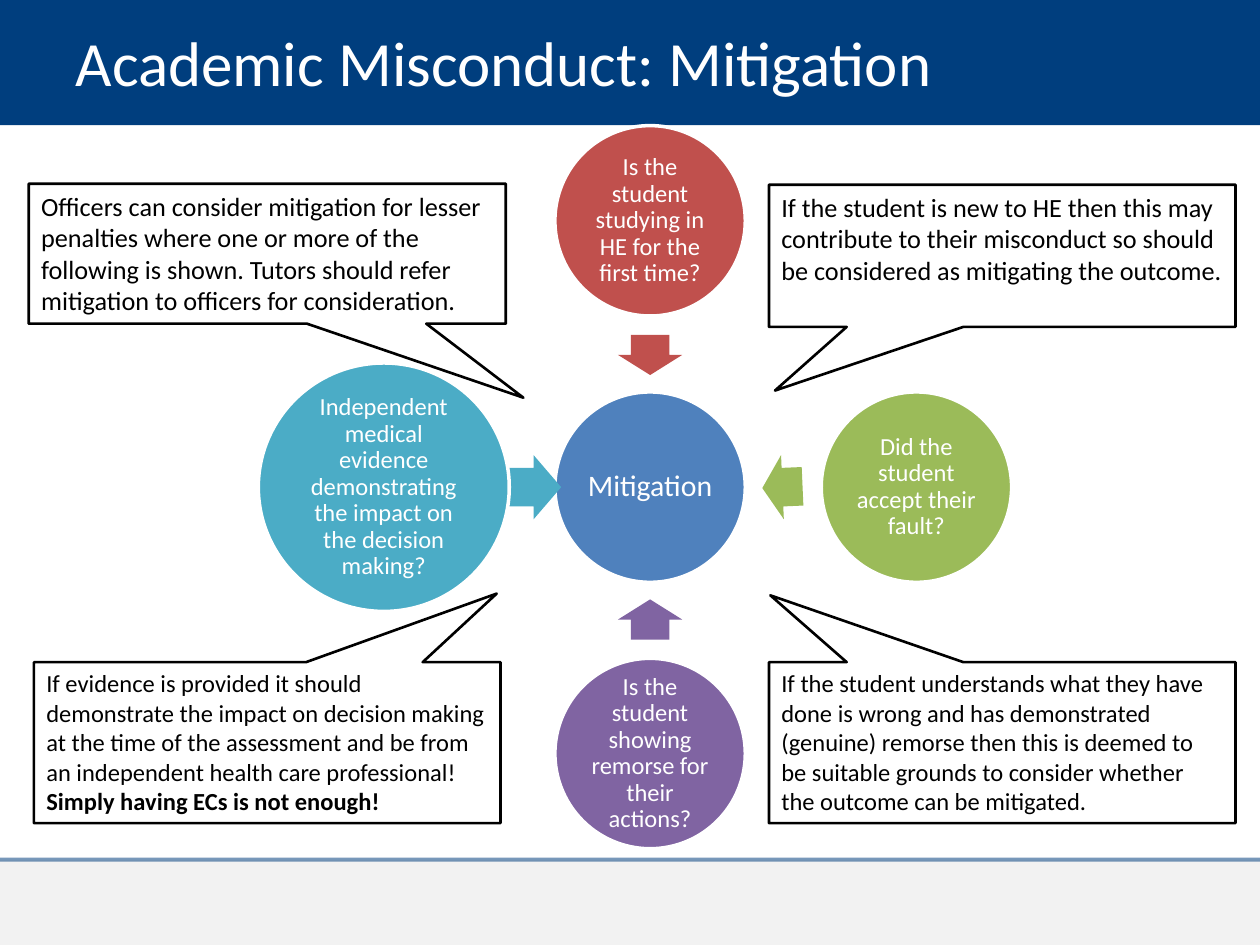
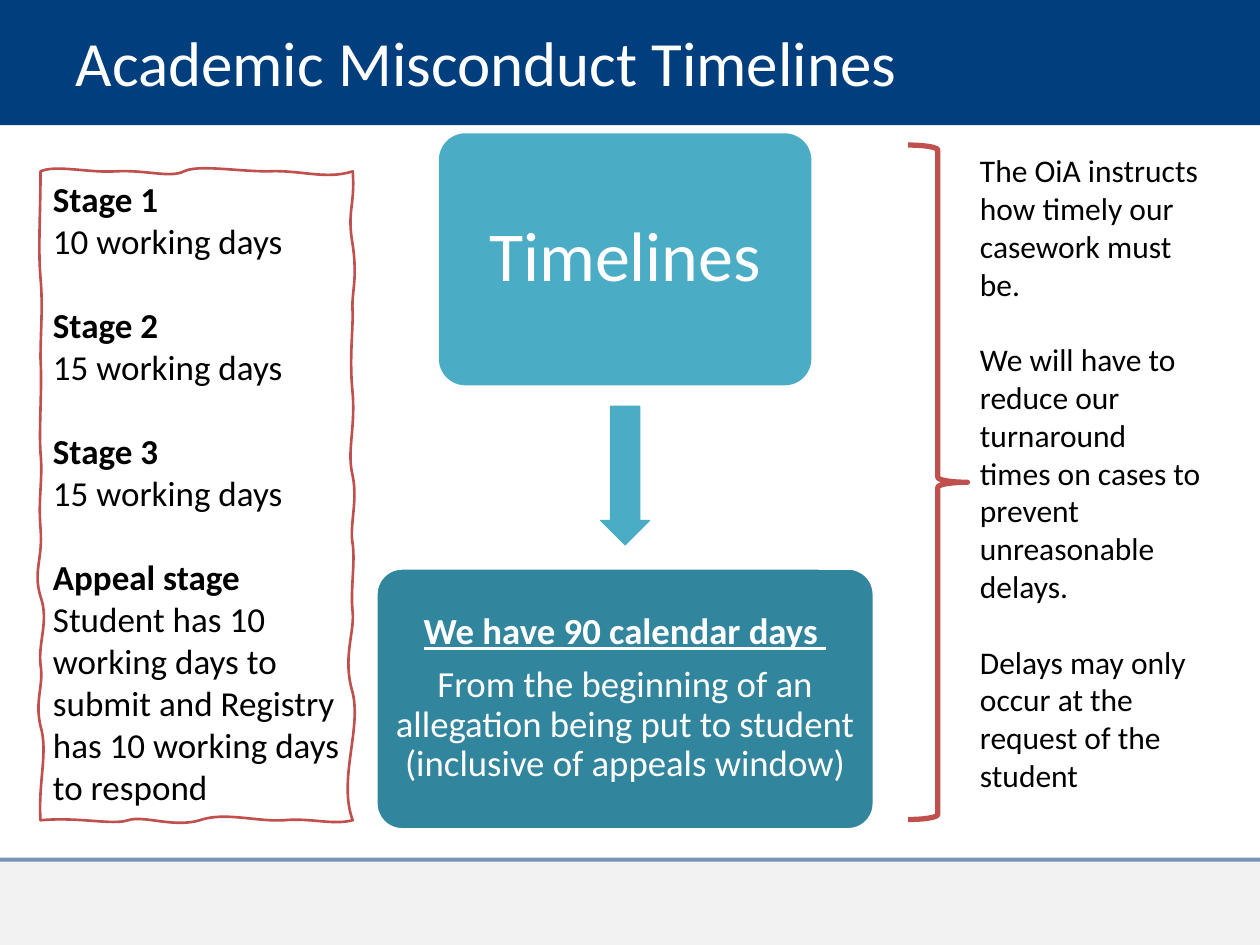
from math import cos, radians, sin

from lxml.etree import Element, SubElement
from pptx import Presentation
from pptx.dml.color import RGBColor
from pptx.enum.shapes import MSO_CONNECTOR, MSO_SHAPE
from pptx.enum.text import MSO_ANCHOR, PP_ALIGN
from pptx.oxml.ns import qn
from pptx.util import Pt

NAVY = RGBColor(0x00, 0x3E, 0x7E)
GREY = RGBColor(0x80, 0x80, 0x80)
WHITE = RGBColor(0xFF, 0xFF, 0xFF)
BLACK = RGBColor(0x00, 0x00, 0x00)
BLUE = RGBColor(0x4F, 0x81, 0xBD)
RED = RGBColor(0xC0, 0x50, 0x4D)
GREEN = RGBColor(0x9B, 0xBB, 0x59)
PURPLE = RGBColor(0x80, 0x64, 0xA2)
AQUA = RGBColor(0x4B, 0xAC, 0xC6)
TEAL = RGBColor(0x31, 0x85, 0x9C)

FONT = "Calibri"
WIDTH, HEIGHT = 720, 540
BAND_HEIGHT, FOOTER_TOP = 71.5, 491.2


# Shared helpers
def write(frame, text, size=14, color=BLACK, bold=False, underline=False,
          align=PP_ALIGN.LEFT, spacing=None, before=0, after=0, join=False):
    """Add text as a new paragraph, or to the last one when join is set."""
    para = frame.paragraphs[-1]
    if para.runs and not join:
        para = frame.add_paragraph()
    if not join:
        para.alignment = align
        para.line_spacing = spacing
        para.space_before, para.space_after = Pt(before), Pt(after)
    span = para.add_run()
    span.text = text
    font = span.font
    font.name, font.size, font.bold, font.underline = FONT, Pt(size), bold, underline
    font.color.rgb = color


def set_frame(shape, anchor=MSO_ANCHOR.TOP, insets=(7.2, 3.6, 7.2, 3.6)):
    frame = shape.text_frame
    frame.word_wrap = True
    frame.vertical_anchor = anchor
    (frame.margin_left, frame.margin_top,
     frame.margin_right, frame.margin_bottom) = map(Pt, insets)
    return frame


def paint(shape, fill=None, line=None, weight=1):
    shape.shadow.inherit = False
    if fill is None:
        shape.fill.background()
    else:
        shape.fill.solid()
        shape.fill.fore_color.rgb = fill
    if line is None:
        shape.line.fill.background()
    else:
        shape.line.color.rgb = line
        shape.line.width = Pt(weight)


def add_preset(page, kind, box, adjust=(), rotation=0, **style):
    shape = page.shapes.add_shape(kind, *map(Pt, box))
    for index, value in enumerate(adjust):
        shape.adjustments[index] = value
    shape.rotation = rotation
    paint(shape, **style)
    return shape


def add_arrow(page, center, length, thickness, rotation, **style):
    box = (center[0] - length / 2, center[1] - thickness / 2, length, thickness)
    return add_preset(page, MSO_SHAPE.RIGHT_ARROW, box, (0.6, 0.5), rotation, **style)


def set_alpha(shape, percent):
    color = next(shape.element.spPr.iter(qn("a:srgbClr")))
    SubElement(color, qn("a:alpha"), val=str(percent * 1000))


# Header band, footer and title place, kept on the layout
def furnish_layout(layout, page):
    band = add_preset(page, MSO_SHAPE.RECTANGLE, (0, 0, WIDTH, BAND_HEIGHT), fill=NAVY)
    footer_box = (0, FOOTER_TOP, WIDTH, HEIGHT - FOOTER_TOP)
    footer = add_preset(page, MSO_SHAPE.RECTANGLE, footer_box, fill=GREY)
    set_alpha(footer, 10)
    rule = page.shapes.add_connector(
        MSO_CONNECTOR.STRAIGHT, *map(Pt, (0, FOOTER_TOP, WIDTH, FOOTER_TOP)))
    rule.line.color.rgb = NAVY
    rule.line.width = Pt(2.25)
    set_alpha(rule, 52)
    SubElement(rule.element.spPr, qn("a:effectLst"))
    for number, part in enumerate((band, footer, rule), 100):
        next(part.element.iter(qn("p:cNvPr"))).set("id", str(number))
        layout.shapes.element.append(part.element)
    title = layout.placeholders[0]
    title.left, title.top, title.width, title.height = map(Pt, (36, 10, 511, 50))


def set_title(page, text):
    frame = set_frame(page.shapes.title, MSO_ANCHOR.MIDDLE)
    write(frame, text, size=36, color=WHITE)


# Mitigation slide
def add_circle(page, center, size, text, color, text_size=14):
    box = (center[0] - size[0] / 2, center[1] - size[1] / 2, *size)
    circle = add_preset(page, MSO_SHAPE.OVAL, box, fill=color, line=WHITE, weight=2)
    frame = set_frame(circle, MSO_ANCHOR.MIDDLE, (1.5,) * 4)
    write(frame, text, size=text_size, color=WHITE, align=PP_ALIGN.CENTER, spacing=0.9)


def draw_mitigation_wheel(page, center):
    small, large = (108.8, 108.8), (143.4, 142)
    spoke_reach = 152.2
    # direction, arrow reach, arrow length, arrow turn, circle size, colour, text
    spokes = [
        (270, 75.6, 23, 90, small, RED,
         "Is the student studying in HE for the first time?"),
        (0, 75.6, 23, 177.5, small, GREEN,
         "Did the student accept their fault?"),
        (90, 75.6, 23, 270, small, PURPLE,
         "Is the student showing remorse for their actions?"),
        (180, 66.6, 31.5, 0, large, AQUA,
         "Independent medical evidence demonstrating the impact on the decision making?"),
    ]
    add_circle(page, center, small, "Mitigation", BLUE, text_size=17)
    for angle, reach, length, turn, size, color, text in spokes:
        across, down = cos(radians(angle)), sin(radians(angle))
        tip = (center[0] + reach * across, center[1] + reach * down)
        hub = (center[0] + spoke_reach * across, center[1] + spoke_reach * down)
        add_arrow(page, tip, length, 36.7, turn, fill=color)
        add_circle(page, hub, size, text, color)


def add_callout(page, box, pointer, text, size, strong=""):
    callout = add_preset(page, MSO_SHAPE.RECTANGULAR_CALLOUT, box, pointer,
                         line=BLACK, weight=1.5)
    frame = set_frame(callout)
    write(frame, text, size=size)
    if strong:
        write(frame, strong, size=size, bold=True, join=True)


def build_mitigation(page):
    set_title(page, "Academic Misconduct: Mitigation")
    draw_mitigation_wheel(page, (371.5, 278.4))
    add_callout(page, (16.4, 105, 272.6, 80), (0.537, 1.029),
                "Officers can consider mitigation for lesser penalties where one or more "
                "of the following is shown. Tutors should refer mitigation to officers "
                "for consideration.", 15)
    add_callout(page, (439.4, 378.4, 266.6, 92), (-0.497, -0.915),
                "If the student understands what they have done is wrong and has "
                "demonstrated (genuine) remorse then this is deemed to be suitable "
                "grounds to consider whether the outcome can be mitigated.", 14)
    add_callout(page, (439.4, 105.6, 266.6, 81.2), (-0.487, 0.948),
                "If the student is new to HE then this may contribute to their "
                "misconduct so should be considered as mitigating the outcome.", 15)
    add_callout(page, (19.4, 378.4, 266.6, 92), (0.492, -0.926),
                "If evidence is provided it should demonstrate the impact on decision "
                "making at the time of the assessment and be from an independent health "
                "care professional! ", 14, strong="Simply having ECs is not enough!")


# Timelines slide
def add_wavy_sheet(page, box):
    """Draw a box whose sides are curves, each bending off a straight side."""
    left, top, width, height = box
    # along and off the side for two handles, then the end along the side
    top_waves = [(9, -4, 27, 1, 43), (60, -1, 74, 4, 82),
                 (90, -4, 112, 0, 130), (148, -1, 163, 5, width)]
    right_waves = [(20, 1.5, 22, -3.5, 42), (63, 3, 69, -1, 81),
                   (94, 0, 108, -2, 127), (148, 1.5, 160, -3.5, 174),
                   (189, 3, 202, -2, 213), (224, 1.5, 240, -1.5, 252),
                   (264, 1, 278, -6, 298), (319, 5, 348, -8.5, height)]
    bottom_waves = [(167, 3, 154, -1.5, 139), (124, 1, 105, -5, 91),
                    (76, 4.5, 59, -3, 50), (41, 3, 22, -2, 0)]
    left_waves = [(349, -1.5, 332, 4.5, 317), (302, -3.5, 294, 2, 282),
                  (269, -1.5, 257, 5, 243), (228, -4.5, 222, 1.5, 204),
                  (186, -1.5, 176, 1.5, 161), (146, -1, 125, 1, 107),
                  (90, 0, 78, 1.5, 61), (44, -1.5, 24, 0, 0)]
    curves = []
    for waves, base, upright in ((top_waves, 0, False), (right_waves, width, True),
                                 (bottom_waves, height, False), (left_waves, 0, True)):
        for along1, off1, along2, off2, end in waves:
            points = [(along1, base + off1), (along2, base + off2), (end, base)]
            curves.append([(y, x) if upright else (x, y) for x, y in points])

    builder = page.shapes.build_freeform(Pt(left), Pt(top))
    knots = [(Pt(left + x), Pt(top + y)) for *_, (x, y) in curves]
    builder.add_line_segments(knots, close=True)
    sheet = builder.convert_to_shape()
    # Turn each straight segment into a curve with its handles
    segments = list(sheet.element.iter(qn("a:lnTo")))
    for segment, points in zip(segments, curves):
        curve = Element(qn("a:cubicBezTo"))
        for x, y in points:
            SubElement(curve, qn("a:pt"), x=str(Pt(x)), y=str(Pt(y)))
        segment.getparent().replace(segment, curve)
    paint(sheet, line=RED, weight=1.5)
    return sheet


def draw_stages(page, box):
    frame = set_frame(add_wavy_sheet(page, box))
    stages = [
        ("Stage 1", "10 working days"),
        ("Stage 2", "15 working days"),
        ("Stage 3", "15 working days"),
        ("Appeal stage", "Student has 10 working days to submit and Registry "
                         "has 10 working days to respond"),
    ]
    for index, (name, limit) in enumerate(stages):
        write(frame, name, size=20, bold=True, before=24 if index else 0)
        write(frame, limit, size=20)


def draw_flow(page, box):
    left, top, width, height = box
    head_width, head_height, foot_height = 210.8, 142, 149.6
    middle = left + width / 2
    centered = dict(color=WHITE, align=PP_ALIGN.CENTER, spacing=0.9)

    head = add_preset(page, MSO_SHAPE.ROUNDED_RECTANGLE,
                      (middle - head_width / 2, top, head_width, head_height), (0.1,),
                      fill=AQUA, line=AQUA, weight=2)
    write(set_frame(head, MSO_ANCHOR.MIDDLE, (12,) * 4), "Timelines", size=40, **centered)

    add_arrow(page, (middle, top + 194.6), 79.2, 28, 90, fill=AQUA, line=AQUA, weight=0.75)

    foot = add_preset(page, MSO_SHAPE.ROUNDED_RECTANGLE,
                      (left, top + height - foot_height, width, foot_height), (0.1,),
                      fill=TEAL, line=WHITE, weight=2)
    frame = set_frame(foot, MSO_ANCHOR.MIDDLE, (6.5,) * 4)
    write(frame, "We have 90 calendar days ", size=21, bold=True, underline=True,
          after=7.35, **centered)
    write(frame, "From the beginning of an allegation being put to student "
                 "(inclusive of appeals window)", size=21, after=7.35, **centered)


def draw_notes(page, box):
    left, top, width, height = box
    brace_width = 34
    add_preset(page, MSO_SHAPE.RIGHT_BRACE, (left, top, brace_width, height),
               line=RED, weight=3)
    notes = page.shapes.add_textbox(
        *map(Pt, (left + brace_width, top, width - brace_width, height - 7)))
    frame = set_frame(notes)
    remarks = [
        "The OiA instructs how timely our casework must be.",
        "We will have to reduce our turnaround times on cases to prevent "
        "unreasonable delays.",
        "Delays may only occur at the request of the student",
    ]
    for index, remark in enumerate(remarks):
        write(frame, remark, size=18, before=21.6 if index else 0)


def build_timelines(page):
    set_title(page, "Academic Misconduct Timelines")
    draw_flow(page, (214.8, 77.2, 284.8, 397))
    draw_notes(page, (518.9, 82.9, 176, 385.4))
    draw_stages(page, (23.2, 97.9, 178.4, 370.8))


def main():
    deck = Presentation()
    deck.slide_width, deck.slide_height = Pt(WIDTH), Pt(HEIGHT)
    layout = deck.slide_layouts.get_by_name("Title Only")
    pages = [deck.slides.add_slide(layout) for _ in range(2)]
    furnish_layout(layout, pages[0])
    build_mitigation(pages[0])
    build_timelines(pages[1])
    deck.save("out.pptx")


if __name__ == "__main__":
    main()
